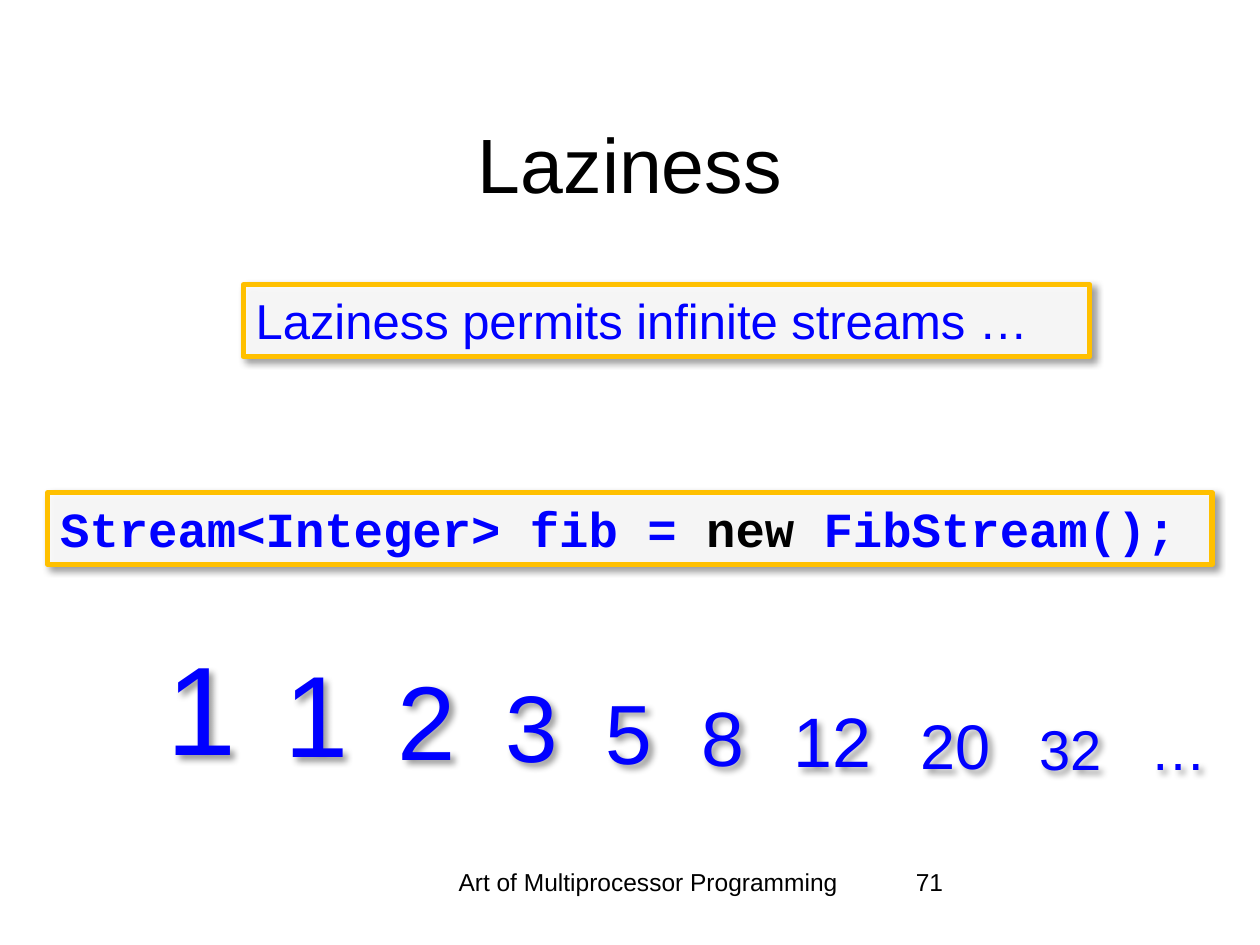
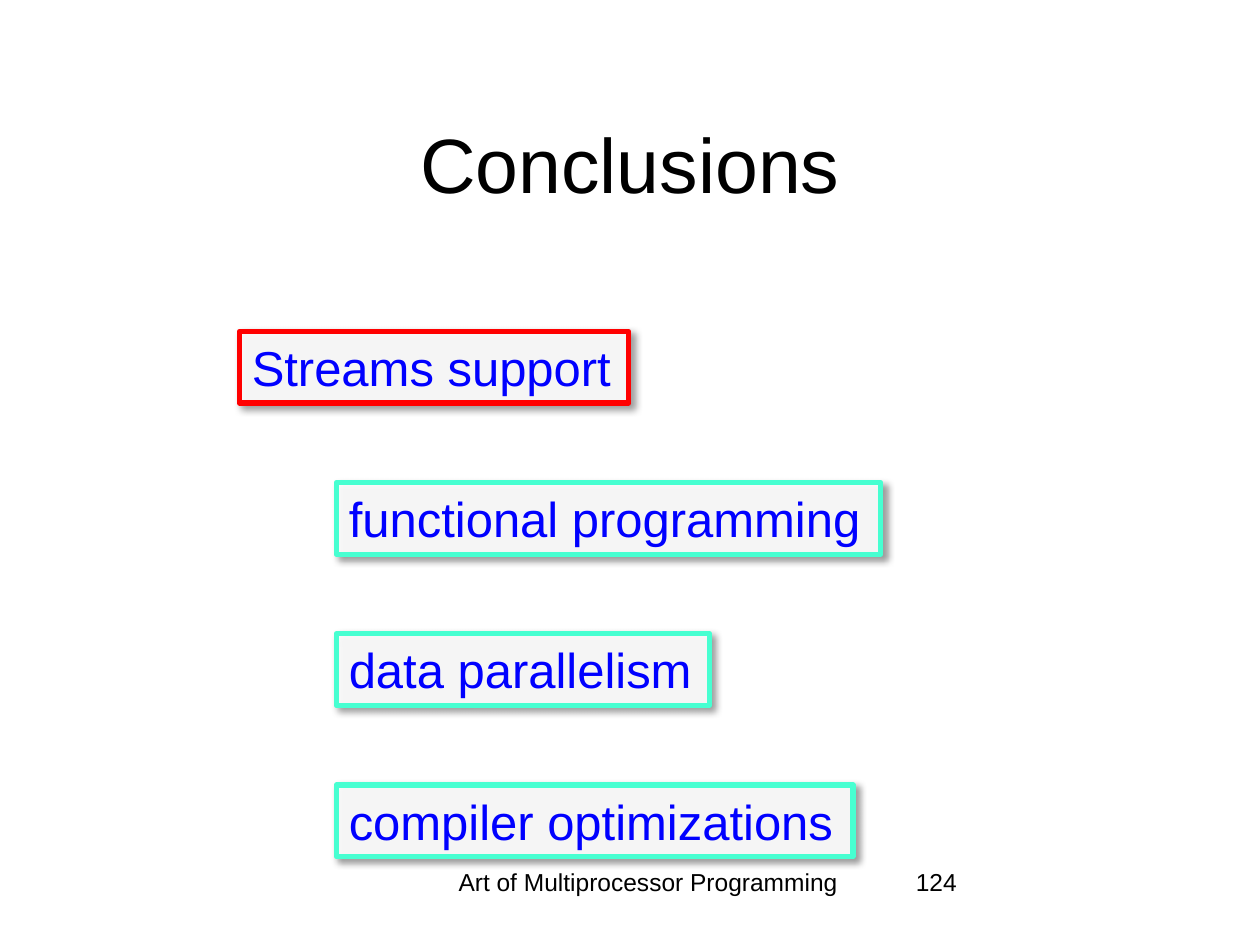
from pptx import Presentation
from pptx.dml.color import RGBColor
from pptx.enum.shapes import MSO_SHAPE as Shape
from pptx.enum.text import MSO_ANCHOR as Anchor, MSO_AUTO_SIZE as AutoSize, PP_ALIGN as Align
from pptx.oxml import parse_xml
from pptx.oxml.ns import nsdecls, qn
from pptx.util import Inches, Pt

COLOURS = {
    "black": "000000",
    "white": "FFFFFF",
    "blue": "0000FF",
    "gold": "FFC000",
    "red": "FF0000",
    "mint": "47FFD1",
}
BODY_FONT, CODE_FONT = "Arial", "Courier New"
BOX_TEXT_SIZE = 28
FOOTER_TOP, FOOTER_HEIGHT = 6.83, 0.5


def rgb(name):
    return RGBColor.from_string(COLOURS[name])


def format_run(run, size, colour, font_name=BODY_FONT, bold=False):
    run.font.size = Pt(size)
    run.font.name = font_name
    run.font.bold = bold
    run.font.color.rgb = rgb(colour)


def fitted_height(size):
    """Height in inches of a box that holds one line of text."""
    return round(size * 0.0168 + 0.1, 2)


def add_soft_shadow(shape):
    shape.shadow.inherit = False
    effects = shape._element.spPr.find(qn("a:effectLst"))
    effects.append(parse_xml(
        f'<a:outerShdw {nsdecls("a")} blurRad="{Pt(4)}" dist="{Pt(3)}" dir="2700000" '
        f'algn="tl" rotWithShape="0"><a:srgbClr val="{COLOURS["black"]}">'
        '<a:alpha val="40000"/></a:srgbClr></a:outerShdw>'))


def add_text(slide, box, text, size, colour, align=Align.LEFT, wrap=True):
    text_box = slide.shapes.add_textbox(*map(Inches, box))
    frame = text_box.text_frame
    frame.word_wrap = wrap
    frame.text = text
    paragraph = frame.paragraphs[0]
    paragraph.alignment = align
    format_run(paragraph.runs[0], size, colour)
    return text_box


def add_framed_box(slide, left, top, width, border, pieces,
                   font_name=BODY_FONT, bold=False, wrap=False):
    """Draw a bordered one-line box; pieces are (text, colour) pairs."""
    box = (left, top, width, fitted_height(BOX_TEXT_SIZE))
    shape = slide.shapes.add_shape(Shape.RECTANGLE, *map(Inches, box))
    shape.fill.solid()
    shape.fill.fore_color.rgb = rgb("white")
    fill_colour = shape._element.spPr.find(qn("a:solidFill"))[0]
    fill_colour.append(parse_xml(f'<a:alpha {nsdecls("a")} val="90000"/>'))
    shape.line.color.rgb = rgb(border)
    shape.line.width = Pt(3)
    add_soft_shadow(shape)
    frame = shape.text_frame
    frame.word_wrap = wrap
    frame.auto_size = AutoSize.SHAPE_TO_FIT_TEXT
    frame.vertical_anchor = Anchor.TOP
    paragraph = frame.paragraphs[0]
    paragraph.alignment = Align.LEFT
    for text, colour in pieces:
        run = paragraph.add_run()
        run.text = text
        format_run(run, BOX_TEXT_SIZE, colour, font_name, bold)


def add_titled_slide(presentation, title_text, number):
    slide = presentation.slides.add_slide(presentation.slide_layouts[5])
    title = slide.shapes.title
    title.left, title.top, title.width, title.height = map(Inches, (0.75, 0.67, 8.5, 1.25))
    title.text_frame.text = title_text
    title.text_frame.vertical_anchor = Anchor.MIDDLE
    paragraph = title.text_frame.paragraphs[0]
    paragraph.alignment = Align.CENTER
    format_run(paragraph.runs[0], 44, "black")
    add_text(slide, (3.42, FOOTER_TOP, 3.45, FOOTER_HEIGHT),
             "Art of Multiprocessor Programming", 14, "black", Align.CENTER)
    add_text(slide, (7.17, FOOTER_TOP, 2.08, FOOTER_HEIGHT), str(number), 14, "black")
    return slide


def add_shrinking_sequence(slide, left, bottom, terms, gap=0.18):
    """Set (text, size, width) terms side by side on a common bottom edge."""
    for text, size, width in terms:
        height = fitted_height(size)
        text_box = add_text(slide, (left, bottom - height, width, height),
                            text, size, "blue", wrap=False)
        text_box.text_frame.auto_size = AutoSize.SHAPE_TO_FIT_TEXT
        add_soft_shadow(text_box)
        left += width + gap


def build_laziness(presentation):
    slide = add_titled_slide(presentation, "Laziness", 71)
    add_shrinking_sequence(slide, 1.22, 6.26, [
        ("1", 72, 0.76), ("1", 66, 0.72), ("2", 60, 0.67), ("3", 54, 0.62),
        ("5", 48, 0.58), ("8", 44, 0.55), ("12", 40, 0.83), ("20", 36, 0.76),
        ("32", 32, 0.7), ("…", 32, 0.65)])
    add_framed_box(slide, 1.93, 2.26, 6.72, "gold",
                   [("Laziness permits infinite streams …", "blue")], wrap=True)
    add_framed_box(slide, 0.38, 3.91, 9.24, "gold",
                   [("Stream<Integer> fib = ", "blue"), ("new ", "black"),
                    ("FibStream();", "blue")], CODE_FONT, bold=True)


def build_conclusions(presentation):
    slide = add_titled_slide(presentation, "Conclusions", 124)
    top, step = 2.63, 1.2
    add_framed_box(slide, 1.9, top, 3.09, "red", [("Streams support", "blue")])
    benefits = [("functional programming", 4.32), ("data parallelism", 2.96),
                ("compiler optimizations", 4.1)]
    for row, (benefit, width) in enumerate(benefits, start=1):
        add_framed_box(slide, 2.67, top + row * step, width, "mint", [(benefit, "blue")])


def main():
    presentation = Presentation()
    presentation.slide_width, presentation.slide_height = Inches(10), Inches(7.5)
    build_laziness(presentation)
    build_conclusions(presentation)
    presentation.save("out.pptx")


if __name__ == "__main__":
    main()
